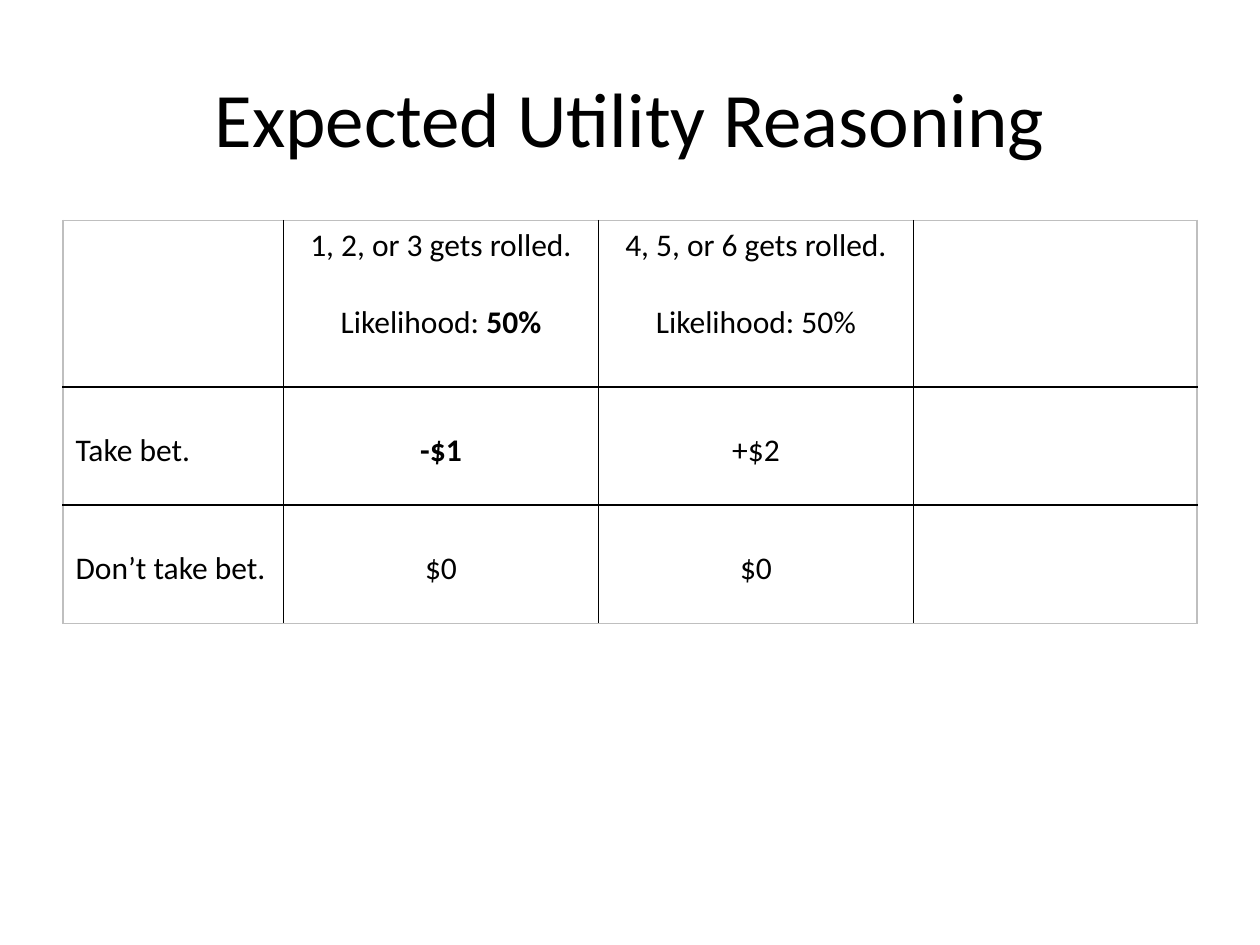
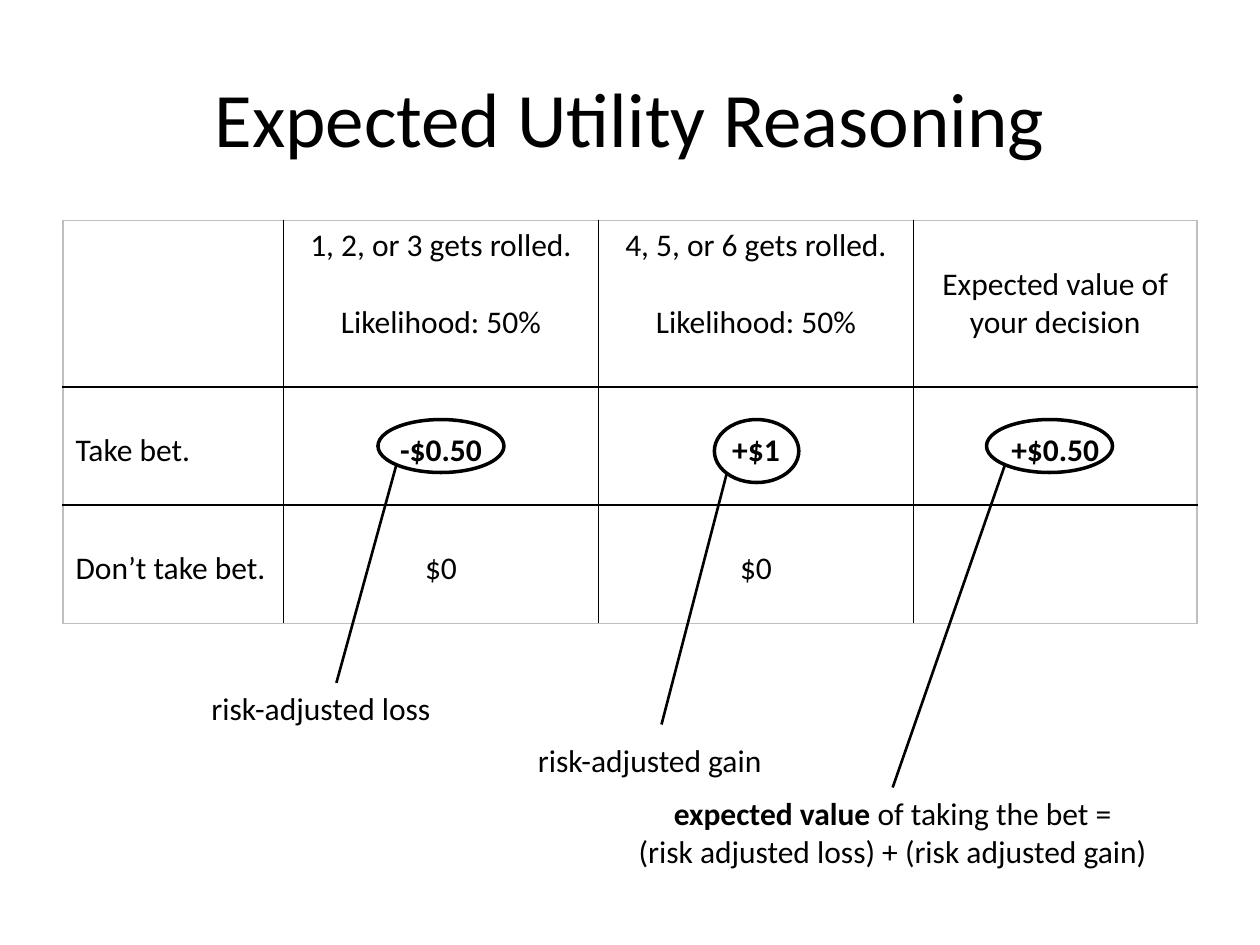
from math import cos, pi
from lxml.etree import SubElement
from pptx import Presentation
from pptx.dml.color import RGBColor
from pptx.enum.shapes import MSO_CONNECTOR, MSO_SHAPE
from pptx.enum.text import MSO_ANCHOR, PP_ALIGN
from pptx.oxml.ns import qn
from pptx.util import Inches, Pt

# Content: **text** is bold, each list item is a paragraph
TITLE = "Expected Utility Reasoning"
LOW, HIGH = "1, 2, or 3 gets rolled.", "4, 5, or 6 gets rolled."
EVEN = "Likelihood: 50%"
STAY_ROW = ["Don’t take bet.", "$0", "$0", ""]
BET_TABLES = [
    [["", [LOW, "Likelihood: **50%**"], [HIGH, EVEN], ""],
     ["Take bet.", "**-$1**", "+$2", ""],
     STAY_ROW],
    [["", [LOW, EVEN], [HIGH, EVEN], "Expected value of your decision"],
     ["Take bet.", "**-$0.50**", "**+$1**", "**+$0.50**"],
     STAY_ROW],
]
# Ring box, line end (None: top middle of the label), label box, alignment, label
NOTES = [
    ((5.67, 3.33, 0.67, 0.5), (5.25, 5.75), (4.17, 5.83, 2.08, 0.4),
     PP_ALIGN.LEFT, ["risk-adjusted gain"]),
    ((3, 3.33, 1, 0.42), (2.67, 5.42), (1.58, 5.42, 2.08, 0.4),
     PP_ALIGN.LEFT, ["risk-adjusted loss"]),
    ((7.83, 3.33, 1, 0.42), None, (4.92, 6.25, 4.33, 0.71),
     PP_ALIGN.CENTER, ["**expected value** of taking the bet =",
                       "(risk adjusted loss) + (risk adjusted gain)"]),
]

# Shared style
INK, EDGE, PAPER = "000000", "BFBFBF", "FFFFFF"
FONT, BODY, HEAD = "Calibri", 18, 44
LINE_PT = 22                      # height of one body line
COLS, ROWS = [1.75, 2.5, 2.5, 2.25], [1.32, 0.94, 0.94]
TABLE_AT = (0.5, 1.75, sum(COLS), sum(ROWS))


def color(value):
    return RGBColor.from_string(value)


def box(values):
    return [Inches(v) for v in values]


def write(tf, paragraphs, align, size=BODY, gap=0):
    for i, text in enumerate(paragraphs):
        p = tf.paragraphs[0] if i == 0 else tf.add_paragraph()
        p.alignment = align
        if i and gap:
            p.space_before = Pt(gap)
        for k, part in enumerate(text.split("**")):
            if part:
                r = p.add_run()
                r.text = part
                style = {"name": FONT, "size": Pt(size), "bold": k % 2 == 1}
                for name, value in style.items():
                    setattr(r.font, name, value)
                r.font.color.rgb = color(INK)


def set_borders(cell, row, col):
    tc_pr = cell._tc.get_or_add_tcPr()
    outer = {"lnL": col == 0, "lnR": col == len(COLS) - 1,
             "lnT": row == 0, "lnB": row == len(ROWS) - 1}
    for tag, is_edge in outer.items():
        ln = SubElement(tc_pr, qn(f"a:{tag}"), w=str(Pt(1)))
        fill = SubElement(ln, qn("a:solidFill"))
        SubElement(fill, qn("a:srgbClr"), val=EDGE if is_edge else INK)


def add_title(s):
    sp = s.shapes.title
    sp.left, sp.top, sp.width, sp.height = box((0.5, 0.3, 9, 1.25))
    sp.text_frame.vertical_anchor = MSO_ANCHOR.MIDDLE
    write(sp.text_frame, [TITLE], PP_ALIGN.CENTER, HEAD)


def add_bet_table(s, rows):
    table = s.shapes.add_table(len(ROWS), len(COLS), *box(TABLE_AT)).table
    table.first_row = table.horz_banding = False
    for column, width in zip(table.columns, COLS):
        column.width = Inches(width)
    for row, height in zip(table.rows, ROWS):
        row.height = Inches(height)
    for i, row in enumerate(rows):
        for j, content in enumerate(row):
            cell = table.cell(i, j)
            set_borders(cell, i, j)
            cell.fill.solid()
            cell.fill.fore_color.rgb = color(PAPER)
            align = PP_ALIGN.CENTER if j else PP_ALIGN.LEFT
            if isinstance(content, list):
                write(cell.text_frame, content, align, gap=LINE_PT)
            elif content:
                # Single entries start one line down
                cell.margin_top = Inches(0.05) + Pt(LINE_PT)
                write(cell.text_frame, [content], align)


def add_note(s, ring, end, label, align, lines):
    # Ring around the value
    sp = s.shapes.add_shape(MSO_SHAPE.OVAL, *box(ring))
    sp.shadow.inherit = False
    sp.fill.background()
    sp.line.color.rgb = color(INK)
    sp.line.width = Pt(2)

    # Label
    tb = s.shapes.add_textbox(*box(label))
    tb.text_frame.word_wrap = True
    write(tb.text_frame, lines, align)

    # Line from the lower left of the ring
    x, y, w, h = ring
    reach = cos(pi / 4) / 2
    start = (x + w * (0.5 - reach), y + h * (0.5 + reach))
    line = s.shapes.add_connector(MSO_CONNECTOR.STRAIGHT,
                                  *box(start), *box(end or label[:2]))
    if end is None:
        line.end_connect(tb, 0)
    line.line.color.rgb = color(INK)
    line.line.width = Pt(1.5)
    SubElement(line._element.spPr, qn("a:effectLst"))


def main():
    prs = Presentation()
    prs.slide_width, prs.slide_height = box((10, 7.5))
    for rows in BET_TABLES:
        s = prs.slides.add_slide(prs.slide_layouts[5])
        add_title(s)
        add_bet_table(s, rows)
    # Notes explain the last table
    for note in NOTES:
        add_note(s, *note)
    prs.save("out.pptx")


if __name__ == "__main__":
    main()
